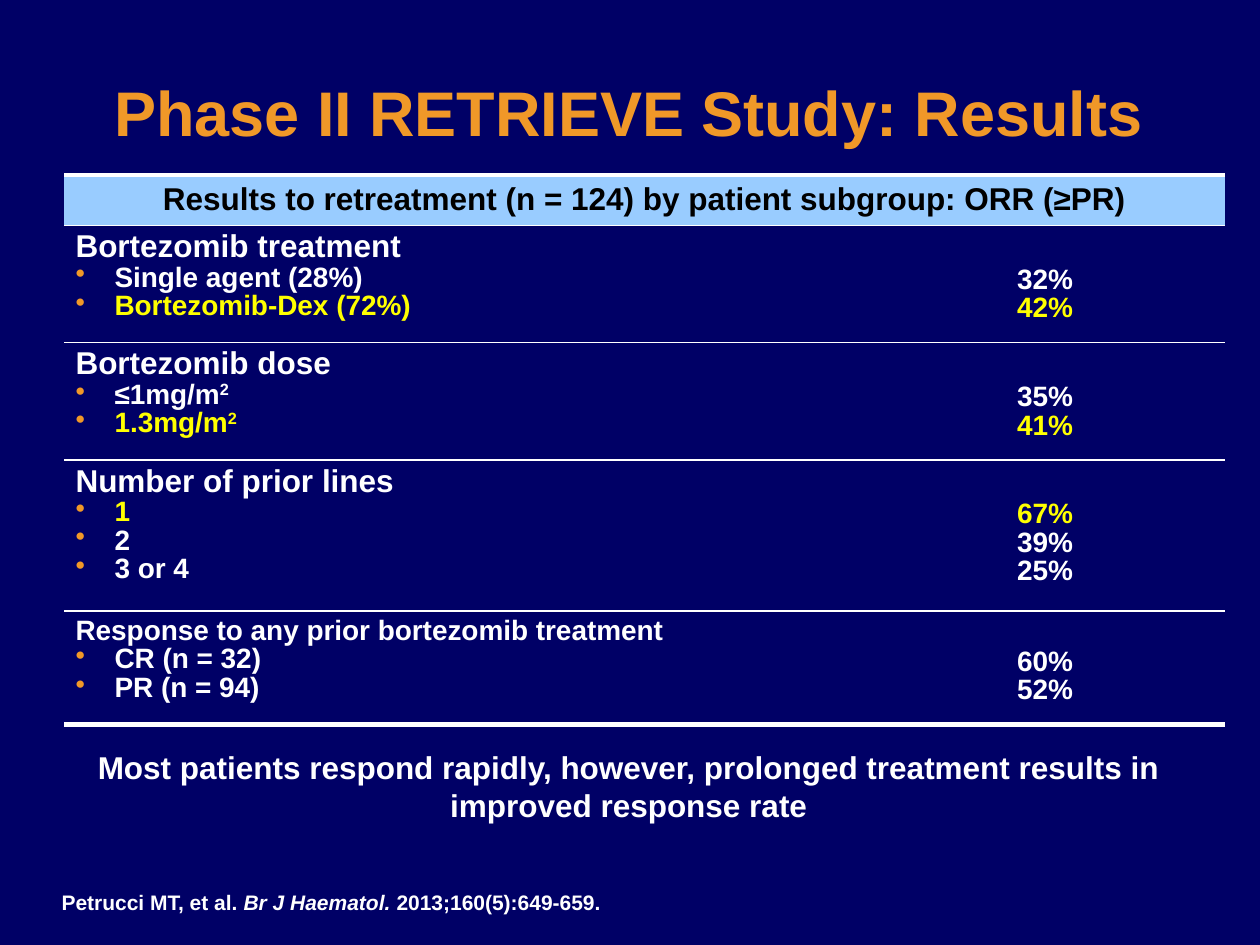
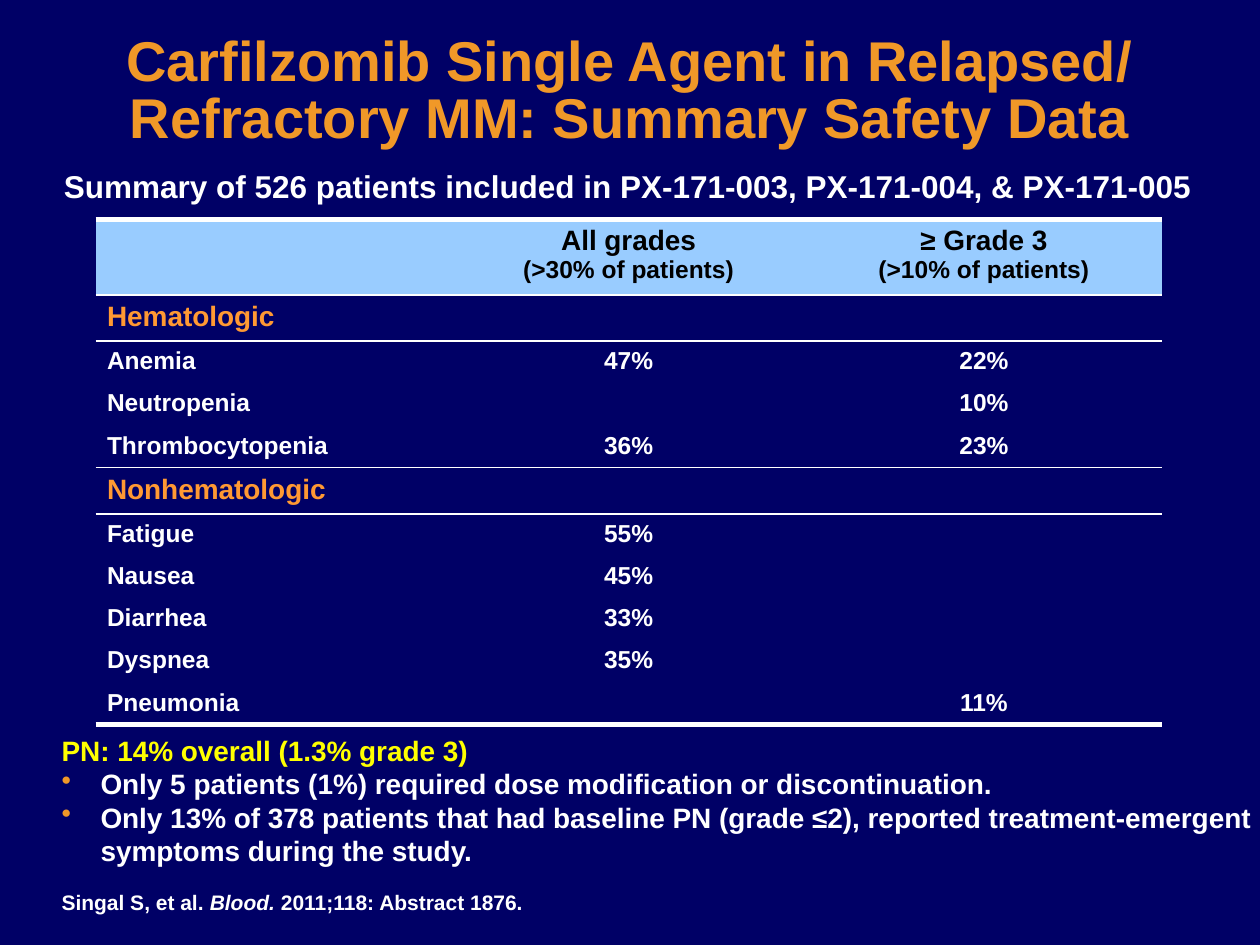
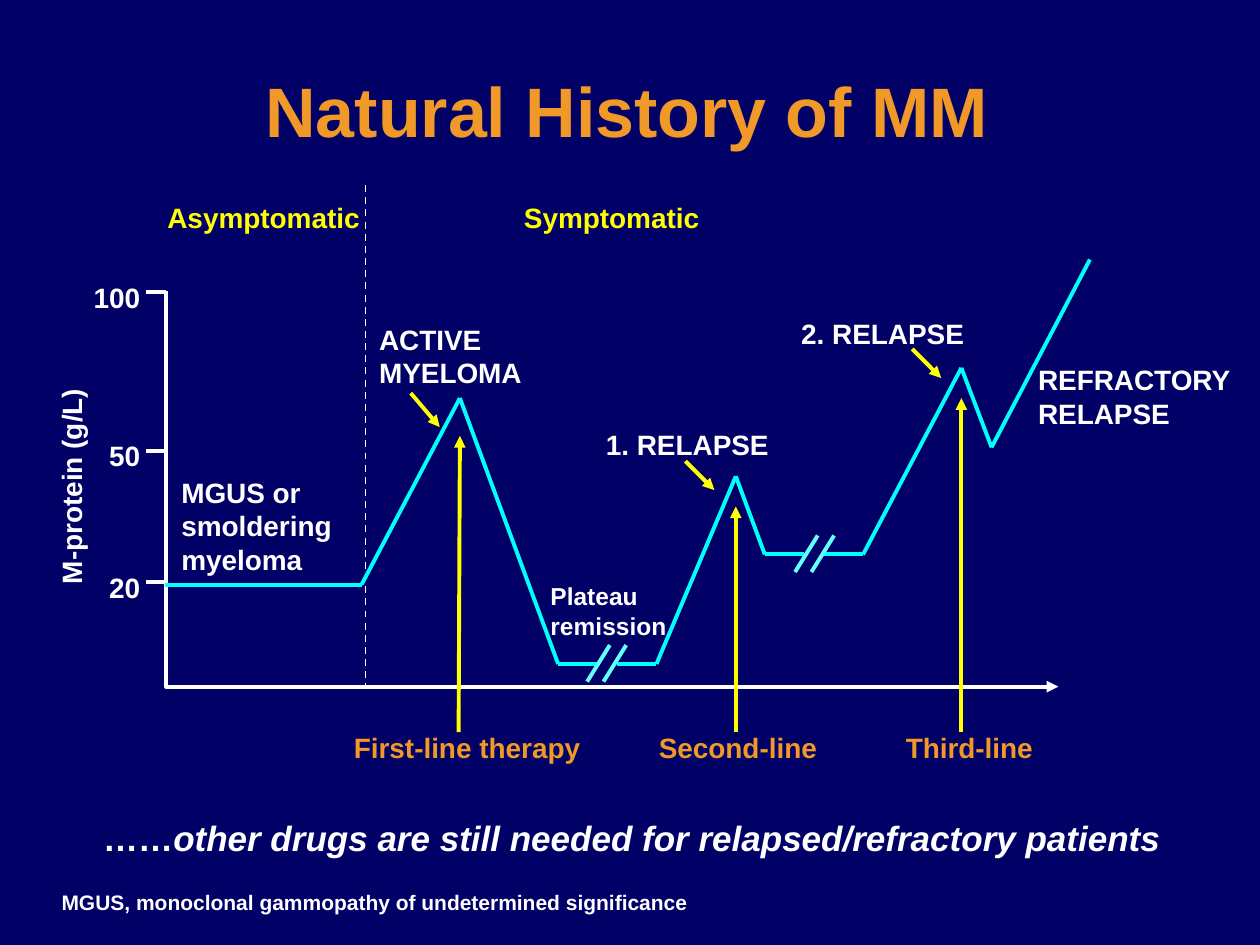
import dataclasses
import typing

import pptx
import pptx.dml.color
import pptx.enum.dml
import pptx.enum.shapes
import pptx.enum.text
import pptx.oxml
import pptx.oxml.ns
import pptx.util

Inches = pptx.util.Inches
Align = pptx.enum.text.PP_ALIGN
Anchor = pptx.enum.text.MSO_ANCHOR

NAVY = "000066"
ORANGE = "F09828"
SECTION_ORANGE = "FF9933"
WHITE = "FFFFFF"
BLACK = "000000"
YELLOW = "FFFF00"
HEADER_BLUE = "99CCFF"
CYAN = "00FFFF"
BREAK_CYAN = "66FFFF"
FONT = "Arial"
NO_GRID_STYLE = "{2D5ABB26-0587-4C30-8999-92F81FD0307C}"

Point = tuple[float, float]
Box = tuple[float, float, float, float]


class Run(typing.NamedTuple):
    text: str
    italic: bool = False
    superscript: bool = False


Text = typing.Union[str, list[Run]]


@dataclasses.dataclass
class Result:
    label: Text
    rate: str
    highlighted: bool = False

    @property
    def color(self) -> str:
        return YELLOW if self.highlighted else WHITE


@dataclasses.dataclass
class Subgroup:
    heading: str
    results: list[Result]
    height: float
    heading_size: int = 18


@dataclasses.dataclass
class Label:
    text: str
    box: Box
    color: str = WHITE
    size: int = 16
    align: typing.Any = Align.LEFT
    rotation: int = 0


@dataclasses.dataclass
class Line:
    start: Point
    end: Point
    color: str
    arrow: bool = False
    width: float = 2.25
    dashed: bool = False


def rgb(color: str) -> pptx.dml.color.RGBColor:
    return pptx.dml.color.RGBColor.from_string(color)


def xml_element(markup: str) -> typing.Any:
    tag, rest = markup[1:].split(" ", 1)
    return pptx.oxml.parse_xml(f"<{tag} {pptx.oxml.ns.nsdecls('a')} {rest}")


def write(text_frame, text: Text, *, size: float = 16, color: str = WHITE,
          align=Align.LEFT, line_spacing: float = 1, bullet: bool = False,
          shadow: bool = False) -> None:
    first = text_frame.paragraphs[0]
    paragraph = text_frame.add_paragraph() if first.runs else first
    paragraph.alignment = align
    if line_spacing != 1:
        paragraph.line_spacing = line_spacing
    if bullet:
        properties = paragraph._p.get_or_add_pPr()
        properties.set("marL", str(Inches(0.31)))
        properties.set("indent", str(Inches(-0.31)))
        properties.append(xml_element(
            f'<a:buClr ><a:srgbClr val="{ORANGE}"/></a:buClr>'))
        properties.append(xml_element('<a:buChar char="•"/>'))
    for part in [Run(text)] if isinstance(text, str) else text:
        run = paragraph.add_run()
        run.text = part.text
        run.font.name = FONT
        run.font.size = pptx.util.Pt(size)
        run.font.bold = True
        run.font.italic = part.italic
        run.font.color.rgb = rgb(color)
        run_properties = run._r.get_or_add_rPr()
        if part.superscript:
            run_properties.set("baseline", "30000")
        if shadow:
            fill = run_properties.find(pptx.oxml.ns.qn("a:solidFill"))
            fill.addnext(xml_element(
                '<a:effectLst ><a:outerShdw blurRad="38100" dist="38100" dir="2700000">'
                f'<a:srgbClr val="{BLACK}"/></a:outerShdw></a:effectLst>'))


def add_text_box(slide, box: Box, *, anchor=Anchor.TOP, wrap: bool = True):
    shape = slide.shapes.add_textbox(*map(Inches, box))
    shape.text_frame.word_wrap = wrap
    shape.text_frame.vertical_anchor = anchor
    return shape


def add_footnote(slide, text: Text, top: float = 7.01, line_spacing: float = 1) -> None:
    shape = add_text_box(slide, (0.39, top, 5.28, 0.3), wrap=False)
    write(shape.text_frame, text, size=12, line_spacing=line_spacing)


def add_titled_slide(presentation, title: str, box: Box, size: int,
                     line_spacing: float = 0.9, shadow: bool = True):
    slide = presentation.slides.add_slide(presentation.slide_layouts[5])
    shape = slide.shapes.title
    shape.left, shape.top, shape.width, shape.height = map(Inches, box)
    frame = shape.text_frame
    frame.word_wrap = True
    frame.auto_size = pptx.enum.text.MSO_AUTO_SIZE.NONE
    frame.vertical_anchor = Anchor.MIDDLE
    write(frame, title, size=size, color=ORANGE, align=Align.CENTER,
          line_spacing=line_spacing, shadow=shadow)
    return slide


def add_plain_table(slide, left: float, top: float, columns: list[float],
                    rows: list[float], rules: dict[int, int]):
    table = slide.shapes.add_table(
        len(rows), len(columns), Inches(left), Inches(top),
        Inches(sum(columns)), Inches(sum(rows))).table
    table.first_row = False
    table.horz_banding = False
    table._tbl.tblPr.find(pptx.oxml.ns.qn("a:tableStyleId")).text = NO_GRID_STYLE
    for column, width in zip(table.columns, columns):
        column.width = Inches(width)
    for index, height in enumerate(rows):
        table.rows[index].height = Inches(height)
        for cell in table.rows[index].cells:
            properties = cell._tc.get_or_add_tcPr()
            for tag, rule in (("lnT", index), ("lnB", index + 1)):
                if rule in rules:
                    properties.append(xml_element(
                        f'<a:{tag} w="{pptx.util.Pt(rules[rule])}"><a:solidFill>'
                        f'<a:srgbClr val="{WHITE}"/></a:solidFill></a:{tag}>'))
            if index == 0:
                cell.fill.solid()
                cell.fill.fore_color.rgb = rgb(HEADER_BLUE)
            else:
                cell.fill.background()
            cell.margin_left = cell.margin_right = Inches(0.09)
            cell.margin_top = cell.margin_bottom = Inches(0.05)
            end_properties = cell.text_frame.paragraphs[0]._p.get_or_add_endParaRPr()
            end_properties.set("sz", "1400")
    return table


def format_line(line, color: str, width: float = 2.25, arrow: bool = False) -> None:
    line.color.rgb = rgb(color)
    line.width = pptx.util.Pt(width)
    if arrow:
        line._get_or_add_ln().append(xml_element('<a:tailEnd type="triangle"/>'))


def add_line(slide, line: Line) -> None:
    connector = slide.shapes.add_connector(
        pptx.enum.shapes.MSO_CONNECTOR.STRAIGHT,
        *map(Inches, line.start + line.end))
    format_line(connector.line, line.color, line.width, line.arrow)
    if line.dashed:
        connector.line.dash_style = pptx.enum.dml.MSO_LINE.DASH
    connector._element.spPr.append(xml_element("<a:effectLst />"))


def build_results_slide(presentation) -> None:
    slide = add_titled_slide(presentation, "Phase II RETRIEVE Study: Results",
                             (0.23, 0.45, 9.52, 0.94), 36)
    subgroups = [
        Subgroup("Bortezomib treatment", [
            Result("Single agent (28%)", "32%"),
            Result("Bortezomib-Dex (72%)", "42%", True)], 0.93),
        Subgroup("Bortezomib dose", [
            Result([Run("≤1mg/m"), Run("2", superscript=True)], "35%"),
            Result([Run("1.3mg/m"), Run("2", superscript=True)], "41%", True)], 0.93),
        Subgroup("Number of prior lines", [
            Result("1", "67%", True),
            Result("2", "39%"),
            Result("3 or 4", "25%")], 1.2),
        Subgroup("Response to any prior bortezomib treatment", [
            Result("CR (n = 32)", "60%"),
            Result("PR (n = 94)", "52%")], 0.9, 16),
    ]
    table = add_plain_table(
        slide, 0.51, 1.39, [6.36, 2.85],
        [0.4] + [subgroup.height for subgroup in subgroups],
        {0: 3, 1: 1, 2: 1, 3: 1, 4: 1, 5: 3})
    header = table.cell(0, 0)
    header.merge(table.cell(0, 1))
    write(header.text_frame,
          "Results to retreatment (n = 124) by patient subgroup: ORR (≥PR)",
          size=18, color=BLACK, align=Align.CENTER)
    for row, subgroup in enumerate(subgroups, 1):
        label_cell, rate_cell = table.rows[row].cells
        write(label_cell.text_frame, subgroup.heading,
              size=subgroup.heading_size, line_spacing=0.92)
        rate_cell.margin_top = Inches(0.05) + pptx.util.Pt(subgroup.heading_size * 1.1)
        for result in subgroup.results:
            write(label_cell.text_frame, result.label, color=result.color,
                  line_spacing=0.92, bullet=True)
            write(rate_cell.text_frame, result.rate, color=result.color,
                  line_spacing=0.92, align=Align.CENTER)
    conclusion = add_text_box(slide, (0.38, 5.89, 9.22, 0.71))
    write(conclusion.text_frame,
          "Most patients respond rapidly, however, prolonged treatment results in "
          "improved response rate", size=18, align=Align.CENTER)
    add_footnote(slide, [Run("Petrucci MT, et al. "), Run("Br J Haematol. ", italic=True),
                         Run("2013;160(5):649-659.")], 7.05, 0.8)


def build_safety_slide(presentation) -> None:
    slide = add_titled_slide(
        presentation,
        "Carfilzomib Single Agent in Relapsed/ Refractory MM: Summary Safety Data",
        (0, 0.23, 10, 1.02), 32, 0.85, shadow=False)
    summary = add_text_box(slide, (0.41, 1.28, 9.34, 0.4))
    write(summary.text_frame,
          "Summary of 526 patients included in PX-171-003, PX-171-004, & PX-171-005",
          size=18)
    events = [
        ("Hematologic",),
        ("Anemia", "47%", "22%"),
        ("Neutropenia", "", "10%"),
        ("Thrombocytopenia", "36%", "23%"),
        ("Nonhematologic",),
        ("Fatigue", "55%", ""),
        ("Nausea", "45%", ""),
        ("Diarrhea", "33%", ""),
        ("Dyspnea", "35%", ""),
        ("Pneumonia", "", "11%"),
    ]
    header_height, section_height = 0.6, 0.36
    event_height = (4 - header_height - 2 * section_height) / 8
    heights = [section_height if len(event) == 1 else event_height for event in events]
    table = add_plain_table(slide, 0.76, 1.74, [2.82] * 3, [header_height] + heights,
                            {0: 3, 1: 1, 5: 1, 11: 3})
    headings = [("All grades", "(>30% of patients)"), ("≥ Grade 3", "(>10% of patients)")]
    for column, lines in enumerate(headings, 1):
        for line, size in zip(lines, (16, 14)):
            write(table.cell(0, column).text_frame, line, size=size, color=BLACK,
                  align=Align.CENTER)
    for row, event in enumerate(events, 1):
        is_section = len(event) == 1
        for column, text in enumerate(event):
            if text:
                write(table.cell(row, column).text_frame, text,
                      size=16 if is_section else 14,
                      color=SECTION_ORANGE if is_section else WHITE,
                      align=Align.CENTER if column else Align.LEFT)
    neuropathy = add_text_box(slide, (0.39, 5.77, 9.66, 1.18)).text_frame
    write(neuropathy, "PN: 14% overall (1.3% grade 3)", color=YELLOW)
    for text in (
            "Only 5 patients (1%) required dose modification or discontinuation.",
            "Only 13% of 378 patients that had baseline PN (grade ≤2), reported "
            "treatment-emergent symptoms during the study."):
        write(neuropathy, text, bullet=True)
    add_footnote(slide, [Run("Singal S, et al. "), Run("Blood. ", italic=True),
                         Run("2011;118: Abstract 1876.")])


def add_axes(slide) -> None:
    builder = slide.shapes.build_freeform(Inches(1.32), Inches(2.31))
    builder.add_line_segments(
        [(Inches(1.32), Inches(5.45)), (Inches(8.4), Inches(5.45))], close=False)
    axes = builder.convert_to_shape()
    axes.shadow.inherit = False
    axes.fill.background()
    format_line(axes.line, WHITE, arrow=True)
    for tick in (4.62, 3.58, 2.32):
        add_line(slide, Line((1.32, tick), (1.16, tick), WHITE))
    add_line(slide, Line((2.9, 1.47), (2.9, 5.45), WHITE, width=1, dashed=True))


def add_protein_curve(slide) -> None:
    sections = [
        [(1.31, 4.64), (2.87, 4.64), (3.65, 3.16), (4.43, 5.27), (4.74, 5.27)],
        [(4.9, 5.27), (5.21, 5.27), (5.84, 3.78), (6.07, 4.4), (6.38, 4.4)],
        [(6.54, 4.4), (6.85, 4.4), (7.63, 2.92), (7.87, 3.55), (8.65, 2.06)],
    ]
    for points in sections:
        for start, end in zip(points, points[1:]):
            add_line(slide, Line(start, end, CYAN))
    for left, top in ((4.66, 5.12), (6.31, 4.25)):
        for offset in (0, 0.13):
            add_line(slide, Line((left + offset + 0.18, top),
                                 (left + offset, top + 0.29), BREAK_CYAN))


def build_history_slide(presentation) -> None:
    slide = add_titled_slide(presentation, "Natural History of MM",
                             (0.31, 0.59, 9.33, 0.65), 40)
    add_axes(slide)
    therapy_arrows = [((3.64, 5.81), (3.65, 3.46)), ((5.84, 5.81), (5.84, 4.02)),
                      ((7.63, 5.81), (7.63, 3.16))]
    peak_arrows = [((3.26, 3.12), (3.49, 3.39)), ((5.44, 3.66), (5.67, 3.89)),
                   ((7.24, 2.77), (7.47, 3))]
    for start, end in therapy_arrows + peak_arrows:
        add_line(slide, Line(start, end, YELLOW, arrow=True))
    add_protein_curve(slide)
    labels = [
        Label("Asymptomatic", (1.23, 1.54, 1.75, 0.37), YELLOW),
        Label("Symptomatic", (4.06, 1.54, 1.75, 0.37), YELLOW),
        Label("MGUS or smoldering myeloma", (1.34, 3.72, 1.52, 0.9)),
        Label("ACTIVE MYELOMA", (2.91, 2.5, 1.52, 0.64)),
        Label("1. RELAPSE", (4.71, 3.34, 1.52, 0.37)),
        Label("2. RELAPSE", (6.26, 2.46, 1.52, 0.37)),
        Label("REFRACTORY RELAPSE", (8.14, 2.82, 1.76, 0.64)),
        Label("Plateau remission", (4.27, 4.56, 1.52, 0.57), size=14),
        Label("First-line therapy", (2.71, 5.74, 2.03, 0.37), ORANGE),
        Label("Second-line", (5.13, 5.74, 1.48, 0.37), ORANGE),
        Label("Third-line", (7.09, 5.74, 1.25, 0.37), ORANGE),
        Label("M-protein (g/L)", (-0.6, 3.39, 2.32, 0.37), rotation=270),
    ]
    labels += [Label(value, (0.52, top, 0.69, 0.37), align=Align.RIGHT)
               for value, top in (("20", 4.47), ("50", 3.43), ("100", 2.17))]
    for label in labels:
        shape = add_text_box(slide, label.box, anchor=Anchor.BOTTOM)
        shape.rotation = label.rotation
        write(shape.text_frame, label.text, size=label.size, color=label.color,
              align=label.align)
    add_footnote(slide, "MGUS, monoclonal gammopathy of undetermined significance")
    outlook = add_text_box(slide, (0.72, 6.43, 8.65, 0.44), wrap=False)
    write(outlook.text_frame,
          [Run("……"),
           Run("other drugs are still needed for relapsed/refractory patients", italic=True)],
          size=20)


def main() -> None:
    presentation = pptx.Presentation()
    presentation.slide_width = Inches(10)
    presentation.slide_height = Inches(7.5)
    background = presentation.slide_master.background.fill
    background.solid()
    background.fore_color.rgb = rgb(NAVY)
    build_results_slide(presentation)
    build_safety_slide(presentation)
    build_history_slide(presentation)
    presentation.save("out.pptx")


if __name__ == "__main__":
    main()
